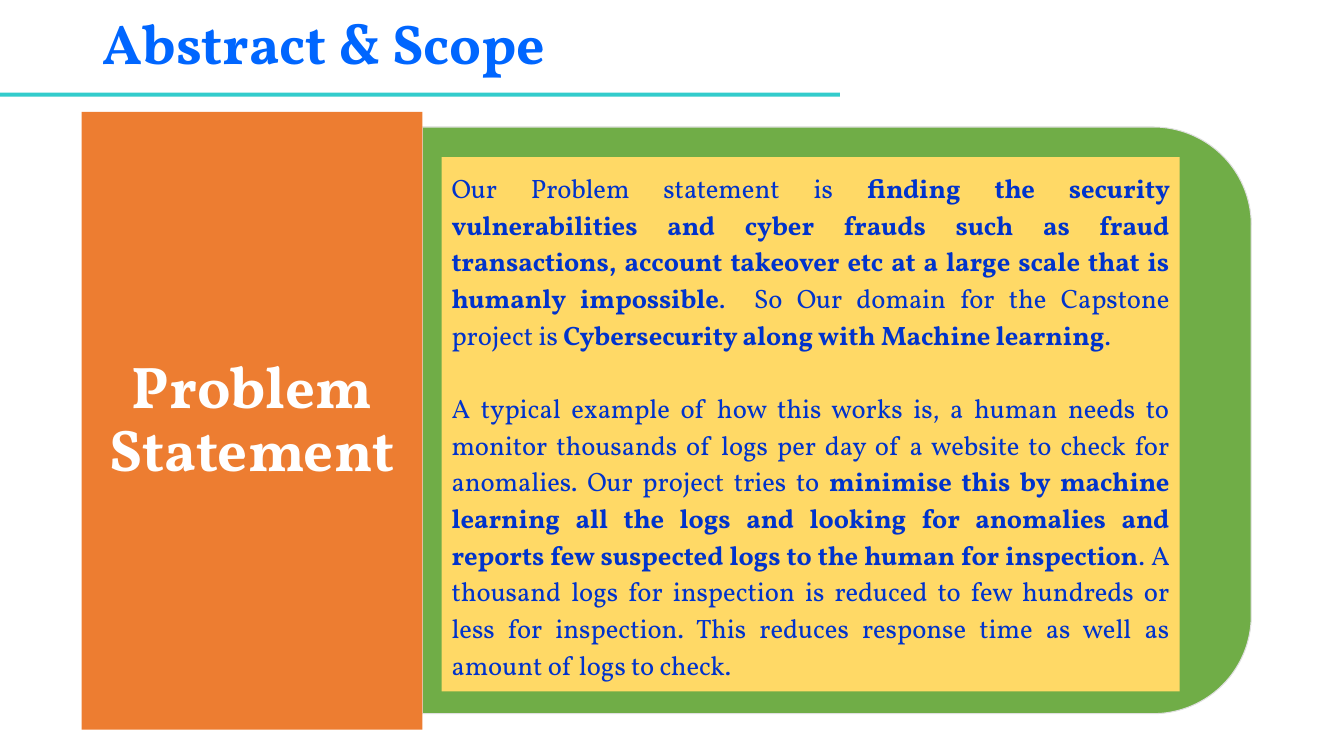
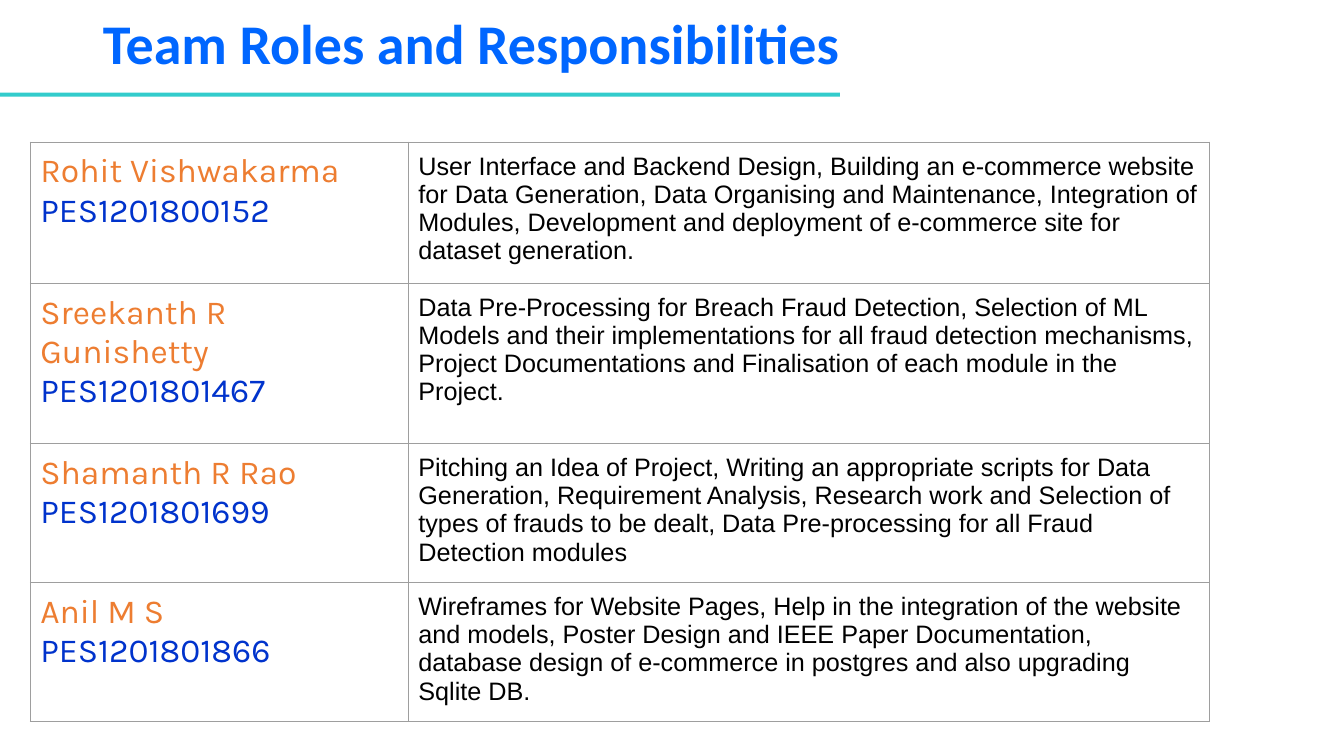
from pptx import Presentation
from pptx.dml.color import RGBColor
from pptx.enum.shapes import MSO_SHAPE as Shape
from pptx.enum.text import MSO_ANCHOR as Anchor, MSO_AUTO_SIZE as AutoSize, PP_ALIGN as Align
from pptx.oxml import parse_xml
from pptx.oxml.ns import nsdecls
from pptx.util import Inches, Pt

BLUE, TEAL, NAVY = "0066FF", "33CCCC", "0033CC"
ORANGE, GREEN, YELLOW = "ED7D31", "70AD47", "FFD966"
WHITE, BLACK, PALE, GREY = "FFFFFF", "000000", "E0E0E0", "9E9E9E"

STATEMENT = [
    [("Our Problem statement is ", False),
     ("finding the security vulnerabilities and cyber frauds such as fraud transactions, "
      "account takeover etc at a large scale that is humanly impossible", True),
     (".  So Our domain for the Capstone project is ", False),
     ("Cybersecurity along with Machine learning", True),
     (".", False)],
    [("A typical example of how this works is, a human needs to monitor thousands of logs "
      "per day of a website to check for anomalies. Our project tries to ", False),
     ("minimise this by machine learning all the logs and looking for anomalies and reports "
      "few suspected logs to the human for inspection", True),
     (". A thousand logs for inspection is reduced to few hundreds or less for inspection. "
      "This reduces response time as well as amount of logs to check.", False)],
]

TEAM = [
    ("Rohit Vishwakarma", "PES1201800152", 1.4,
     "User Interface and Backend Design, Building an e-commerce website for Data Generation, "
     "Data Organising and Maintenance, Integration of Modules, Development and deployment of "
     "e-commerce site for dataset generation."),
    ("Sreekanth R Gunishetty", "PES1201801467", 1.59,
     "Data Pre-Processing for Breach Fraud Detection, Selection of ML Models and their "
     "implementations for all fraud detection mechanisms, Project Documentations and "
     "Finalisation of each module in the Project."),
    ("Shamanth R Rao", "PES1201801699", 1.38,
     "Pitching an Idea of Project, Writing an appropriate scripts for Data Generation, "
     "Requirement Analysis, Research work and Selection of types of frauds to be dealt, "
     "Data Pre-processing for all Fraud Detection modules"),
    ("Anil M S", "PES1201801866", 1.38,
     "Wireframes for Website Pages, Help in the integration of the website and models, "
     "Poster Design and IEEE Paper Documentation, database design of e-commerce in postgres "
     "and also upgrading Sqlite DB."),
]


def color(value):
    """Turn a hex string into a colour."""
    return RGBColor.from_string(value)


class Deck:
    """Holds the shared style and the current page."""

    def __init__(self):
        """Start an empty widescreen presentation."""
        self.deck = Presentation()
        self.deck.slide_width, self.deck.slide_height = Inches(13.33), Inches(7.5)
        self.page = None

    def add_page(self, title, font):
        """Add a page with its title and the rule beneath it."""
        self.page = self.deck.slides.add_slide(self.deck.slide_layouts[5])
        self.add_box(0, 0.92, 8.33, 0.04, TEAL)
        box = self.page.shapes.title
        box.left, box.top, box.width, box.height = map(Inches, (0.92, 0, 11.5, 0.92))
        frame = box.text_frame
        frame.auto_size = AutoSize.NONE
        frame.vertical_anchor = Anchor.MIDDLE
        self.add_span(self.style(frame.paragraphs[0], Align.LEFT, 0.9), title, font, 40, BLUE, True)

    def add_box(self, left, top, width, height, fill, shape=Shape.RECTANGLE):
        """Draw a flat filled shape without an outline."""
        box = self.page.shapes.add_shape(shape, *map(Inches, (left, top, width, height)))
        box.shadow.inherit = False
        box.fill.solid()
        box.fill.fore_color.rgb = color(fill)
        box.line.fill.background()
        return box

    def add_panel(self, left, top, width, height, fill):
        """Draw a panel rounded on its right side, by turning a top-rounded one."""
        box = self.add_box(left + (width - height) / 2, top + (height - width) / 2,
                           height, width, fill, Shape.ROUND_2_SAME_RECTANGLE)
        box.rotation = 90
        box.adjustments[0], box.adjustments[1] = 0.167, 0
        box.line.color.rgb = color(PALE)
        box.line.width = Pt(0.75)

    def add_text_box(self, place, fill, paragraphs, font, size, ink, align, anchor, spacing, gap=0):
        """Draw a filled box holding paragraphs of (text, bold) spans."""
        frame = self.add_box(*place, fill).text_frame
        frame.word_wrap = True
        frame.vertical_anchor = anchor
        frame.margin_top = frame.margin_bottom = Inches(0.1)
        for index, spans in enumerate(paragraphs):
            para = frame.add_paragraph() if index else frame.paragraphs[0]
            self.style(para, align, spacing)
            if index:
                para.space_before = Pt(gap)
            for text, bold in spans:
                self.add_span(para, text, font, size, ink, bold)

    def style(self, para, align, spacing):
        """Set the alignment and line spacing of a paragraph."""
        para.alignment, para.line_spacing = align, spacing
        return para

    def add_span(self, para, text, font, size, ink, bold=False):
        """Append one formatted run."""
        span = para.add_run()
        span.text = text
        span.font.name, span.font.size, span.font.bold = font, Pt(size), bold
        span.font.color.rgb = color(ink)

    def add_team_table(self, left, top, widths, team):
        """Draw the grid of members and their duties."""
        heights = [member[2] for member in team]
        table = self.page.shapes.add_table(
            len(team), len(widths), *map(Inches, (left, top, sum(widths), sum(heights)))).table
        table.first_row = table.horz_banding = False
        for column, width in zip(table.columns, widths):
            column.width = Inches(width)
        for row, (name, number, height, duties) in zip(table.rows, team):
            row.height = Inches(height)
            person, work = row.cells
            self.fill_cell(person, [(name, ORANGE), (number, NAVY)], "Karla", 24)
            self.fill_cell(work, [(duties, BLACK)], "Arial", 18)

    def fill_cell(self, cell, lines, font, size):
        """Outline a table cell and write its coloured lines."""
        properties = cell._tc.get_or_add_tcPr()
        for side in "LRTB":
            properties.append(parse_xml(
                f'<a:ln{side} {nsdecls("a")} w="{Pt(0.75)}"><a:solidFill>'
                f'<a:srgbClr val="{GREY}"/></a:solidFill></a:ln{side}>'))
        cell.fill.background()
        cell.margin_left = cell.margin_right = Inches(0.1)
        cell.margin_top = cell.margin_bottom = Inches(0.1)
        for index, (text, ink) in enumerate(lines):
            para = cell.text_frame.add_paragraph() if index else cell.text_frame.paragraphs[0]
            self.add_span(para, text, font, size, ink)


def main():
    """Build both pages and save the deck."""
    deck = Deck()
    deck.add_page("Abstract & Scope", "Vollkorn")
    deck.add_panel(4.19, 1.26, 8.22, 5.82, GREEN)
    deck.add_text_box((0.81, 1.11, 3.38, 6.13), ORANGE, [[("Problem Statement", True)]],
                      "Vollkorn", 42, WHITE, Align.CENTER, Anchor.MIDDLE, 0.9)
    deck.add_text_box((4.38, 1.56, 7.32, 5.3), YELLOW, STATEMENT,
                      "Vollkorn", 19, NAVY, Align.JUSTIFY, Anchor.TOP, 1.15, gap=26)

    deck.add_page("Team Roles and Responsibilities", "Calibri")
    deck.add_team_table(0.3, 1.41, (3.75, 7.95), TEAM)
    deck.deck.save("out.pptx")


if __name__ == "__main__":
    main()
